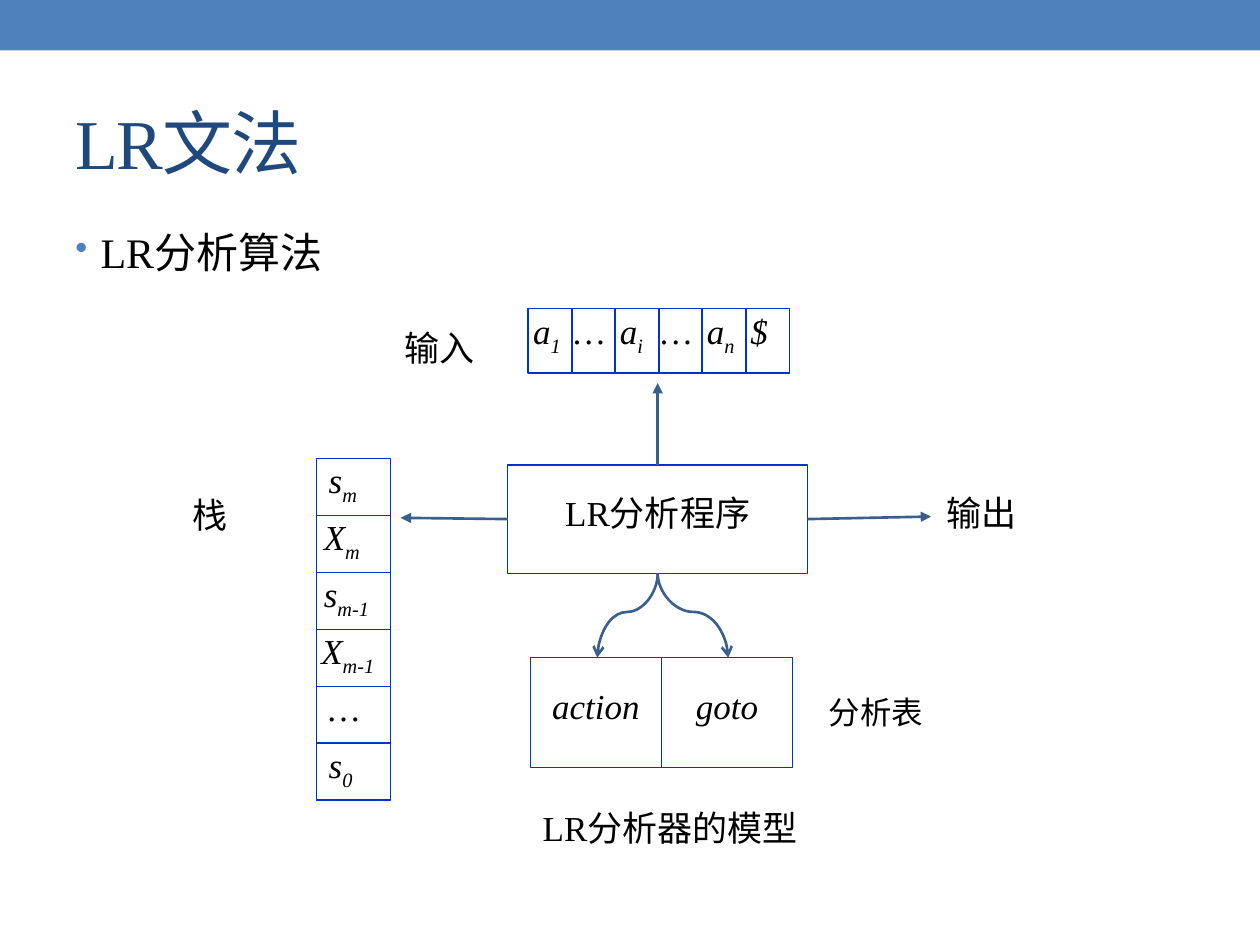
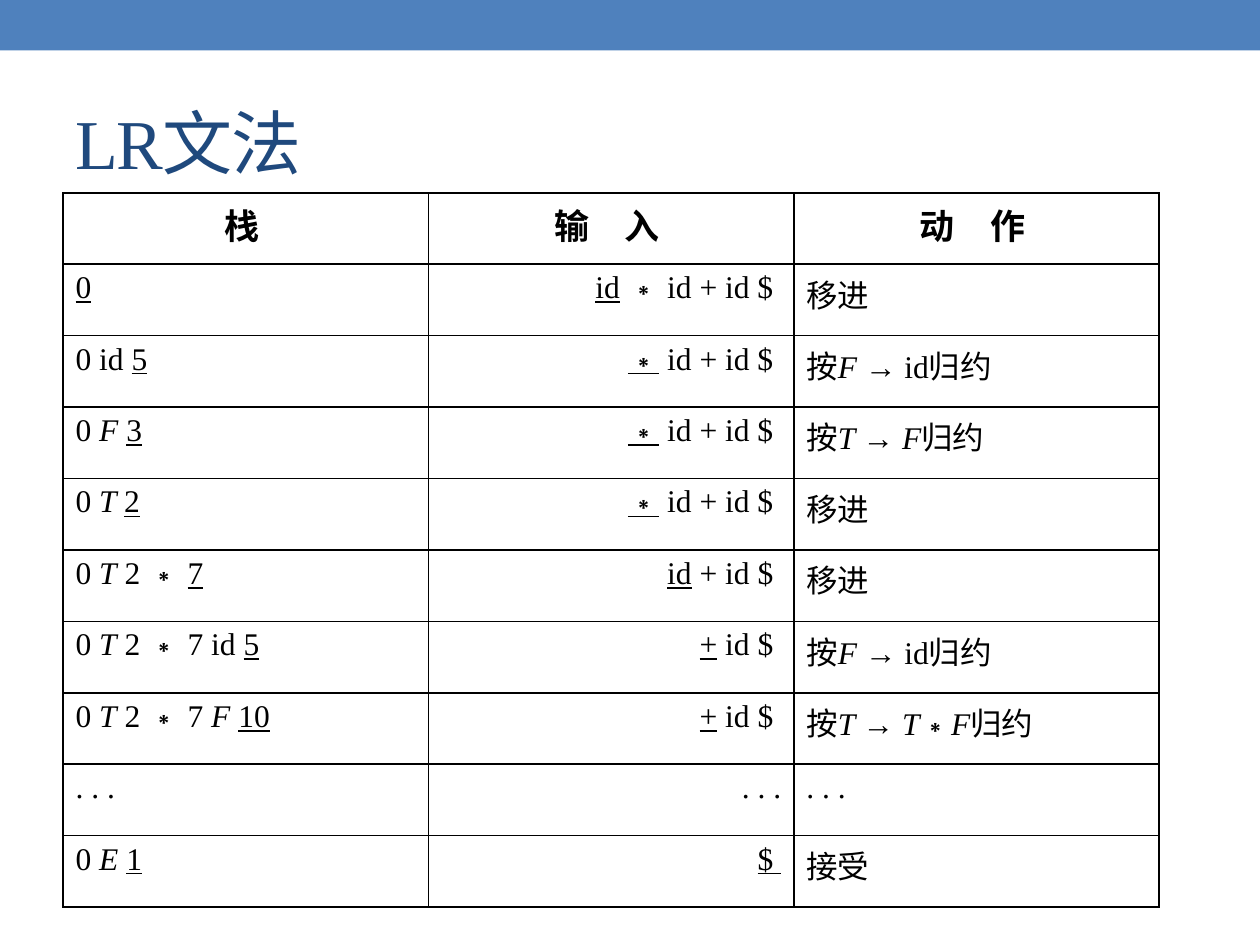
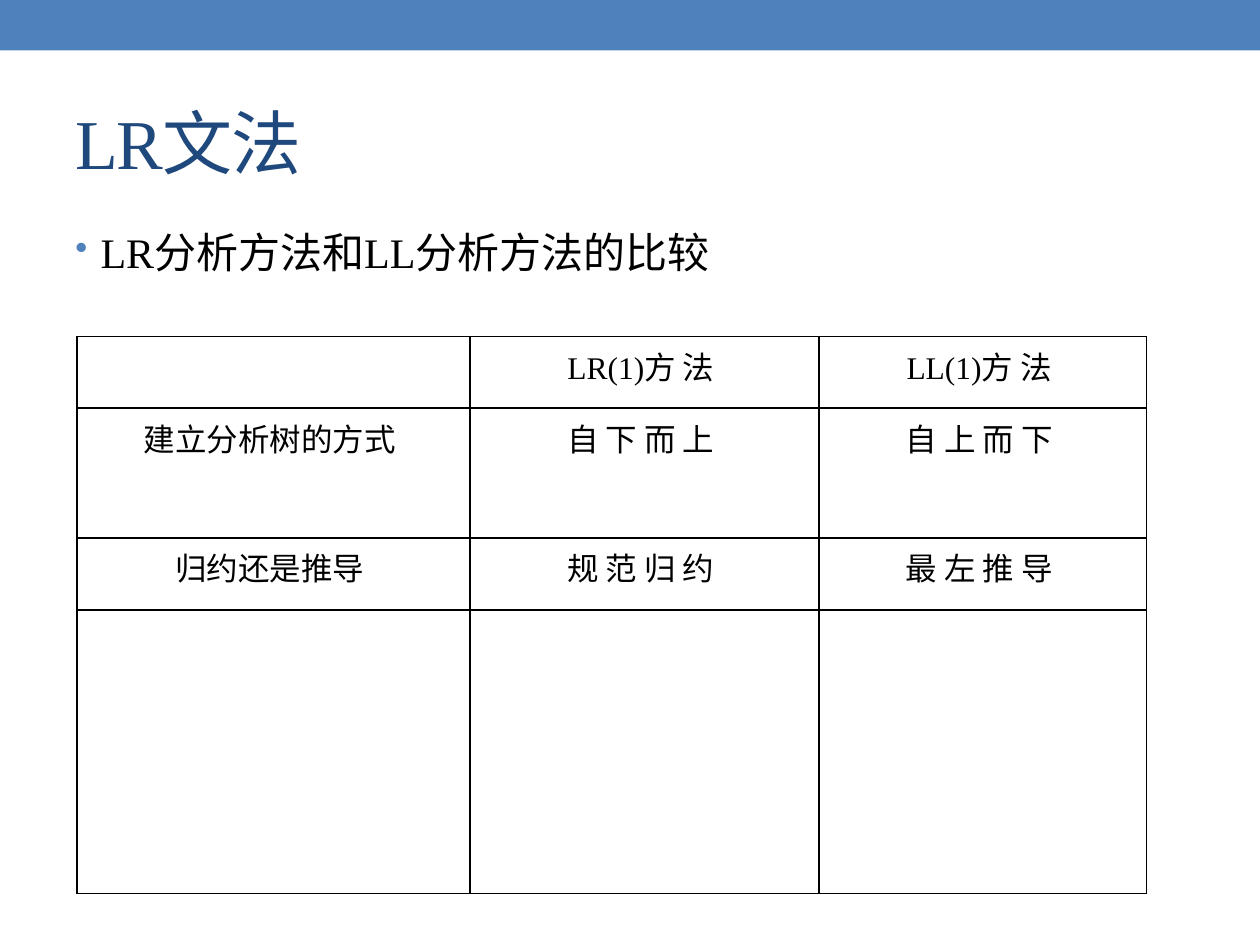
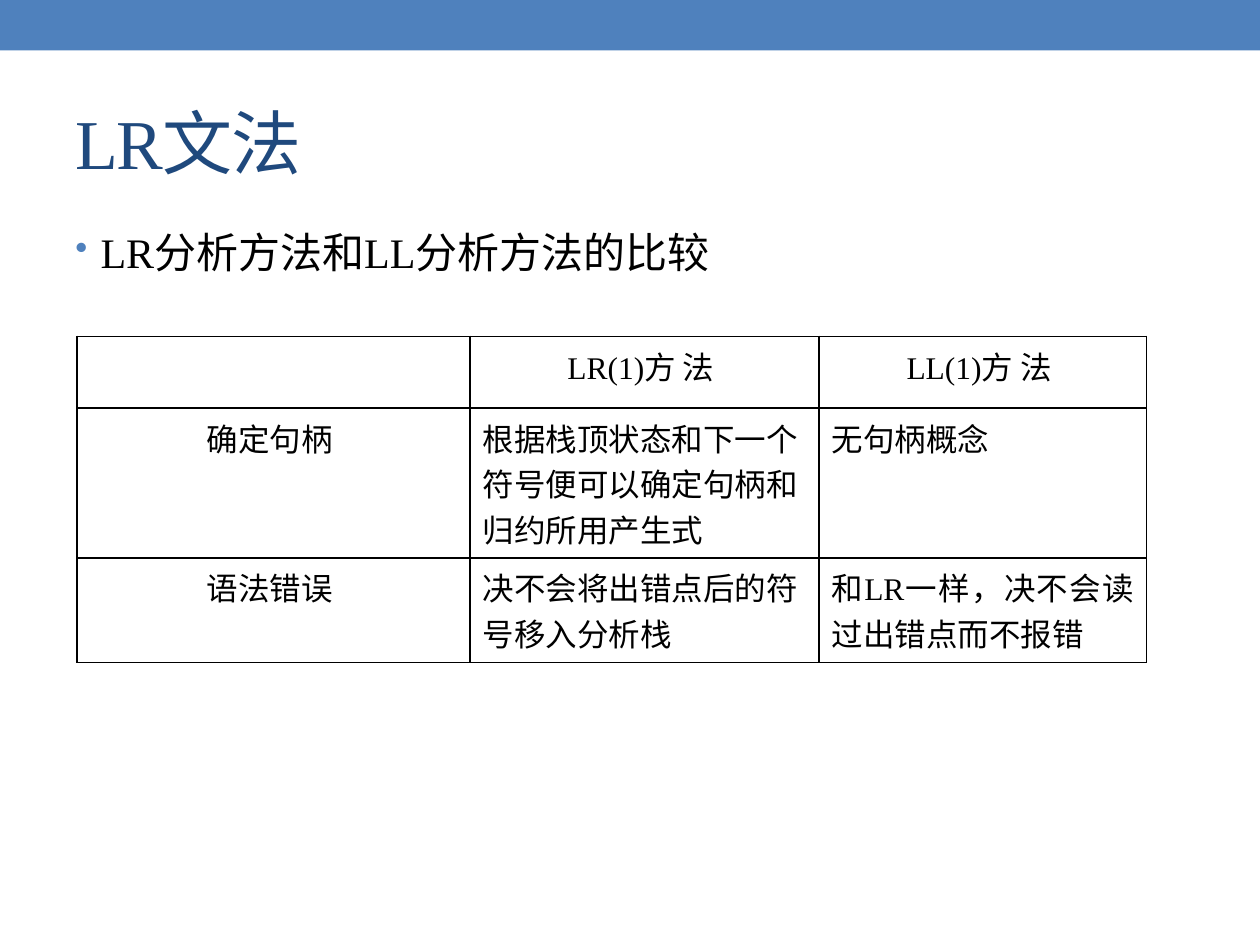
"""Build four slides on LR grammars: the parser model, a parse trace and an LR/LL comparison."""
from lxml import etree
from pptx import Presentation
from pptx.dml.color import RGBColor
from pptx.enum.shapes import MSO_CONNECTOR as Connector, MSO_SHAPE as Shape
from pptx.enum.text import MSO_ANCHOR as Anchor, PP_ALIGN as Align
from pptx.oxml.ns import qn
from pptx.util import Inches, Pt

BAND_BLUE = RGBColor(0x4F, 0x81, 0xBD)
TITLE_BLUE = RGBColor(0x1F, 0x49, 0x7D)
BOX_BLUE = RGBColor(0x00, 0x33, 0xCC)
ARROW_BLUE = RGBColor(0x3A, 0x5F, 0x8C)
BLACK = RGBColor(0, 0, 0)
SERIF = "Times New Roman"
SANS = "Noto Sans CJK SC"


def write(frame, text, size, align=Align.LEFT, color=BLACK, name=SERIF):
    """Fill a frame with pieces split at |, led by / italic, _ underline or ~ italic subscript."""
    frame.word_wrap = True
    paragraph = frame.paragraphs[0]
    paragraph.alignment = align
    font = paragraph.font
    font.size, font.name, font.color.rgb = Pt(size), name, color
    etree.SubElement(font._element, qn("a:ea"), typeface=SANS)
    for piece in text.split("|"):
        run = paragraph.add_run()
        run.text = piece.lstrip("/_~")
        if piece[0] in "/~":
            run.font.italic = True
        if piece[0] == "_":
            run.font.underline = True
        if piece[0] == "~":
            run.font._element.set("baseline", "-25000")
    return paragraph


def add_grid(slide, left, top, widths, heights, rows, aligns, header_size):
    """Add a plain ruled table with a centred header row."""
    table = slide.shapes.add_table(
        len(heights), len(widths), Inches(left), Inches(top),
        Inches(sum(widths)), Inches(sum(heights))).table
    table.first_row = table.horz_banding = False
    for column, width in zip(table.columns, widths):
        column.width = Inches(width)
    for row, height in zip(table.rows, heights):
        row.height = Inches(height)
    for cell in table.iter_cells():
        properties = cell._tc.get_or_add_tcPr()
        for side in ("a:lnL", "a:lnR", "a:lnT", "a:lnB"):
            border = etree.SubElement(properties, qn(side), w=str(Pt(1)))
            fill = etree.SubElement(border, qn("a:solidFill"))
            etree.SubElement(fill, qn("a:srgbClr"), val=str(BLACK))
        cell.fill.background()
    for r, texts in enumerate(rows):
        for c, text in enumerate(texts):
            if text:
                write(table.cell(r, c).text_frame, text, 18 if r else header_size,
                      aligns[c] if r else Align.CENTER)
    return table


presentation = Presentation()
presentation.slide_width, presentation.slide_height = Inches(10), Inches(7.5)

COMPARISON = "LR分析方法和LL分析方法的比较"
slides = []
for heading in ("LR分析算法", None, COMPARISON, COMPARISON):
    slide = presentation.slides.add_slide(presentation.slide_layouts[6])
    slides.append(slide)
    band = slide.shapes.add_shape(Shape.RECTANGLE, 0, 0, Inches(10), Inches(0.4))
    band.shadow.inherit = False
    band.fill.solid()
    band.fill.fore_color.rgb = BAND_BLUE
    band.line.fill.background()
    title = slide.shapes.add_textbox(Inches(0.5), Inches(0.58), Inches(9), Inches(1.08))
    title.text_frame.vertical_anchor = Anchor.MIDDLE
    paragraph = write(title.text_frame, "LR文法", 40, color=TITLE_BLUE)
    paragraph.font._element.set("spc", "-100")
    if heading:
        body = slide.shapes.add_textbox(Inches(0.5), Inches(1.75), Inches(9), Inches(5.33))
        paragraph = write(body.text_frame, heading, 24)
        properties = paragraph._p.get_or_add_pPr()
        properties.set("marL", str(Inches(0.2)))
        properties.set("indent", str(Inches(-0.2)))
        bullet_color = etree.Element(qn("a:buClr"))
        etree.SubElement(bullet_color, qn("a:srgbClr"), val=str(BAND_BLUE))
        for bullet in (bullet_color, etree.Element(qn("a:buSzPct"), val="85000"),
                       etree.Element(qn("a:buChar"), char="•")):
            paragraph.font._element.addprevious(bullet)

model_slide, trace_slide, method_slide, error_slide = slides

for left, top, width, height, text, size, align, name in (
        (3.11, 2.54, 0.86, 0.57, "输入", 20, Align.JUSTIFY, SERIF),
        (7.39, 3.85, 0.86, 0.49, "输出 ", 20, Align.CENTER, SERIF),
        (1.43, 3.87, 0.86, 0.57, "栈", 20, Align.JUSTIFY, SERIF),
        (2.84, 6.35, 4.96, 0.61, "LR分析器的模型", 20, Align.CENTER, SERIF),
        (6.48, 5.45, 1.54, 0.4, "分析表", 18, Align.LEFT, SANS)):
    label = model_slide.shapes.add_textbox(Inches(left), Inches(top), Inches(width), Inches(height))
    write(label.text_frame, text, size, align, name=name)

STACK = (("/s|~m", 0.1), ("/X|~m", 0.06), ("/s|~m-1", 0.06),
         ("/X|~m-1", 0.04), ("/…", 0.1), ("/s|~0", 0.1))
INPUT = (("/a|~1", 0.04), ("/…", 0.02), ("/a|~i", 0.04),
         ("/…", 0.02), ("/a|~n", 0.04), ("/$", 0.04))
boxes = [(4.21, 5.22, 1.04, 0.87, "/action", 0.1, 0.11, Align.CENTER),
         (5.25, 5.22, 1.04, 0.87, "/goto", 0.1, 0.11, Align.CENTER)]
boxes += [(2.51, 3.64 + 0.452 * i, 0.59, 0.45, text, inset, 0, Align.JUSTIFY)
          for i, (text, inset) in enumerate(STACK)]
boxes += [(4.19 + 0.345 * i, 2.45, 0.35, 0.51, text, inset, 0.01, Align.JUSTIFY)
          for i, (text, inset) in enumerate(INPUT)]
boxes.append((4.03, 3.69, 2.38, 0.86, "LR分析程序", 0.1, 0.11, Align.CENTER))
for left, top, width, height, text, inset, top_inset, align in boxes:
    box = model_slide.shapes.add_shape(
        Shape.RECTANGLE, Inches(left), Inches(top), Inches(width), Inches(height))
    box.shadow.inherit = False
    box.fill.background()
    box.line.color.rgb, box.line.width = BOX_BLUE, Pt(0.75)
    frame = box.text_frame
    frame.vertical_anchor = Anchor.TOP
    frame.margin_left, frame.margin_right = Inches(inset), Inches(min(inset, 0.02))
    frame.margin_top, frame.margin_bottom = Inches(top_inset), Inches(0.01)
    paragraph = write(frame, text, 20, align)
    if align == Align.CENTER:
        frame.margin_right = Inches(inset)
        paragraph.line_spacing = 1.3
program = box

arrows = []
for site, x1, y1, x2, y2 in ((0, 5.22, 3.69, 5.22, 3.04),
                             (3, 6.41, 4.12, 7.39, 4.1),
                             (1, 4.03, 4.12, 3.18, 4.11)):
    arrow = model_slide.shapes.add_connector(
        Connector.STRAIGHT, Inches(x1), Inches(y1), Inches(x2), Inches(y2))
    arrow.begin_connect(program, site)
    arrows.append((arrow, "triangle"))

START_X, START_Y, END_Y = 5.22, 4.55, 5.22
middle_y, half_drop = (START_Y + END_Y) / 2, (END_Y - START_Y) / 2
for end_x in (5.78, 4.74):
    middle_x, half_run = (START_X + end_x) / 2, (end_x - START_X) / 2
    curve = model_slide.shapes.add_connector(
        Connector.CURVE, Inches(middle_x - half_drop), Inches(middle_y + half_run),
        Inches(middle_x + half_drop), Inches(middle_y - half_run))
    properties = curve._element.spPr
    properties.find(qn("a:xfrm")).set("rot", "5400000")
    adjustments = properties.find(qn("a:prstGeom")).find(qn("a:avLst"))
    etree.SubElement(adjustments, qn("a:gd"), name="adj1", fmla="val 45800")
    arrows.append((curve, "arrow"))

for arrow, head in arrows:
    arrow.line.color.rgb, arrow.line.width = ARROW_BLUE, Pt(1.5)
    etree.SubElement(arrow.line._get_or_add_ln(), qn("a:tailEnd"), type=head)
    etree.SubElement(arrow._element.spPr, qn("a:effectLst"))

TRACE = (
    ("栈 ", "输　入 ", "动　作 "),
    ("_0", "_id| ∗ id + id $ ", "移进"),
    ("0 id |_5", "_∗| id + id $ ", "按|/F |→ id归约"),
    ("0 |/F |_3", "_∗| id + id $ ", "按|/T |→ |/F|归约"),
    ("0 |/T |_2", "_∗| id + id $ ", "移进"),
    ("0 |/T| 2 ∗ |_7", "_id| + id $ ", "移进"),
    ("0 |/T| 2 ∗ 7 id |_5", "_+| id $ ", "按|/F |→ id归约"),
    ("0 |/T| 2 ∗ 7 |/F |_10", "_+| id $ ", "按|/T |→ |/T|∗|/F|归约"),
    (". . .", ". . .", ". . ."),
    ("0 |/E |_1", "_$ ", "接受"))
trace = add_grid(trace_slide, 0.5, 1.53, [2.9] * 3, [0.567] * 10, TRACE,
                 (Align.LEFT, Align.RIGHT, Align.LEFT), 20)
for cell in trace.rows[0].cells:
    cell.text_frame.paragraphs[0].font.bold = True

METHODS = ("", "LR(1)方 法 ", "LL(1)方 法 ")
WIDTHS = (3.12, 2.77, 2.6)
add_grid(method_slide, 0.61, 2.67, WIDTHS, (0.57, 1.03, 0.57, 2.25),
         (METHODS,
          ("建立分析树的方式 ", "自 下 而 上 ", "自 上 而 下 "),
          ("归约还是推导 ", "规 范 归 约 ", "最 左 推 导 ")),
         [Align.CENTER] * 3, 18)
errors = add_grid(error_slide, 0.61, 2.67, WIDTHS, (0.57, 1.19, 0.83),
                  (METHODS,
                   ("确定句柄 ", "根据栈顶状态和下一个符号便可以确定句柄和归约所用产生式", "无句柄概念"),
                   ("语法错误 ", "决不会将出错点后的符号移入分析栈", "和LR一样，决不会读过出错点而不报错 ")),
                  (Align.CENTER, Align.LEFT, Align.JUSTIFY), 18)
for cell in errors.rows[1].cells:
    cell.text_frame.paragraphs[0].font.name = SANS

presentation.save("out.pptx")
